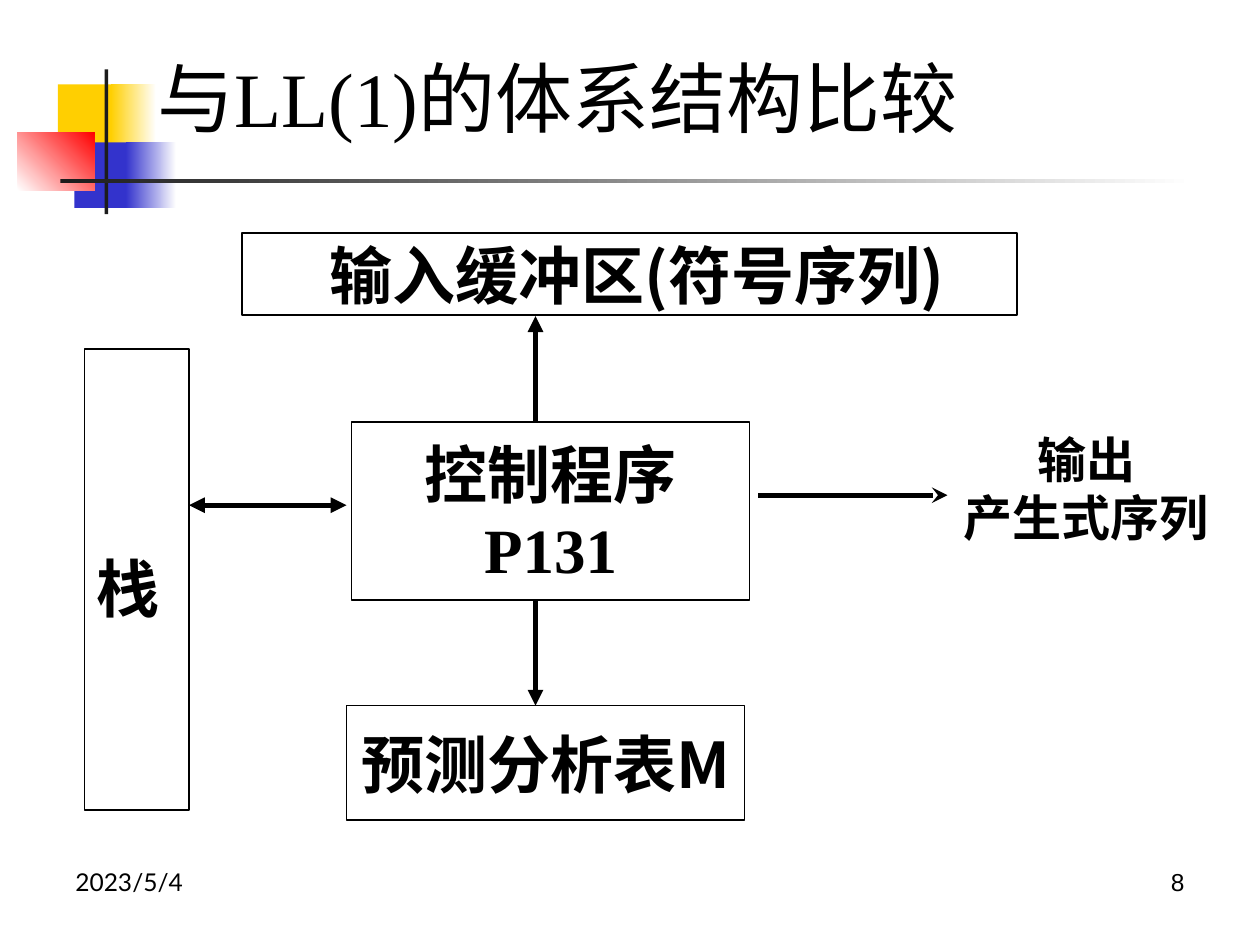
from lxml import etree
from pptx import Presentation
from pptx.dml.color import RGBColor
from pptx.enum import shapes, text
from pptx.oxml.ns import qn
from pptx.util import Inches, Pt

COLORS = {"yellow": "FFCF01", "blue": "3333CC", "red": "FF0000",
          "dark": "1C1C1C", "white": "FFFFFF", "black": "000000"}
RGB = {name: RGBColor.from_string(value) for name, value in COLORS.items()}
CJK = "Noto Sans CJK SC"
TIMES = "Times New Roman"
LEFT, CENTER, RIGHT = text.PP_ALIGN.LEFT, text.PP_ALIGN.CENTER, text.PP_ALIGN.RIGHT


def write(shape, lines, size, align, bold=False, wrap=True):
    """Fill a shape with (wording, font) lines."""
    frame = shape.text_frame
    frame.text = "\n".join(wording for wording, font in lines)
    frame.word_wrap = wrap
    for paragraph, (wording, font) in zip(frame.paragraphs, lines):
        paragraph.alignment = align
        for run in paragraph.runs:
            run.font.name, run.font.size, run.font.bold = font, Pt(size), bold
            run.font.color.rgb = RGB["black"]
            east_asian = etree.SubElement(run.font._element, qn("a:ea"))
            east_asian.set("typeface", CJK)
    return frame


prs = Presentation()
prs.slide_width, prs.slide_height = Inches(10), Inches(7.5)
slide = prs.slides.add_slide(prs.slide_layouts[5])

# Corner ornament: box, start colour, end colour (None is solid), angle
ornament = [
    ((0.46, 0.67, 0.48, 0.52), "yellow", None, 0),
    ((0.88, 0.67, 0.36, 0.52), "yellow", "white", 0),
    ((0.59, 1.13, 0.46, 0.52), "blue", None, 0),
    ((1, 1.13, 0.4, 0.52), "blue", "white", 0),
    ((0.14, 1.05, 0.61, 0.46), "white", "red", 45),
    ((0.83, 0.55, 0.03, 1.15), "dark", None, 0),
    ((0.48, 1.42, 9, 0.03), "dark", "white", 0),
]
for box, start, end, angle in ornament:
    block = slide.shapes.add_shape(shapes.MSO_SHAPE.RECTANGLE, *map(Inches, box))
    block.shadow.inherit = False
    block.line.fill.background()
    if end:
        block.fill.gradient()
        block.fill.gradient_angle = angle
        for stop, color in zip(block.fill.gradient_stops, (start, end)):
            stop.color.rgb = RGB[color]
    else:
        block.fill.solid()
        block.fill.fore_color.rgb = RGB[start]

# Title
title = slide.shapes.title
title.left, title.top, title.width, title.height = map(Inches, (1.15, 0.36, 7, 0.82))
write(title, [("与LL(1)的体系结构比较", TIMES)], 44, LEFT)
title.text_frame.vertical_anchor = text.MSO_ANCHOR.MIDDLE

# Date and slide number
for left, wording, font, align in [(0.5, "2023/5/4", "Lato", LEFT),
                                   (7.17, "8", "Arial", RIGHT)]:
    footer = slide.shapes.add_textbox(Inches(left), Inches(6.83), Inches(2.33), Inches(0.52))
    write(footer, [(wording, font)], 14, align)

# Components of the parser
components = [
    ((1.92, 1.85, 6.15, 0.65), [(" 输入缓冲区(符号序列)", CJK)], CENTER, 1),
    ((0.67, 2.77, 0.83, 3.66), [("栈", CJK)], LEFT, 1.2),
    ((2.79, 3.35, 3.16, 1.41), [("控制程序", CJK), ("P131", TIMES)], CENTER, 1),
    ((2.75, 5.6, 3.16, 0.91), [("预测分析表M", CJK)], CENTER, 1),
]
for box, lines, align, spacing in components:
    component = slide.shapes.add_shape(shapes.MSO_SHAPE.RECTANGLE, *map(Inches, box))
    component.shadow.inherit = False
    component.fill.background()
    component.line.color.rgb = RGB["black"]
    component.line.width = Pt(1)
    frame = write(component, lines, 36, align, bold=True, wrap=False)
    frame.vertical_anchor = text.MSO_ANCHOR.MIDDLE
    frame.paragraphs[0].line_spacing = spacing

# Arrows: start, end, arrowheads
arrows = [
    ((4.25, 3.35), (4.25, 2.51), {"tailEnd": "triangle"}),
    ((2.75, 4.01), (1.5, 4.01), {"headEnd": "triangle", "tailEnd": "triangle"}),
    ((4.25, 5.6), (4.25, 4.76), {"headEnd": "triangle"}),
    ((6.02, 3.93), (7.52, 3.93), {"tailEnd": "stealth"}),
]
for start, end, heads in arrows:
    arrow = slide.shapes.add_connector(shapes.MSO_CONNECTOR.STRAIGHT,
                                       *map(Inches, start + end))
    arrow.line.color.rgb = RGB["black"]
    arrow.line.width = Pt(3)
    for side, style in heads.items():
        etree.SubElement(arrow.line._get_or_add_ln(), qn("a:" + side)).set("type", style)
    etree.SubElement(arrow._element.spPr, qn("a:effectLst"))

# Output label
output = slide.shapes.add_textbox(*map(Inches, (7.44, 3.36, 2.36, 1.03)))
frame = write(output, [("输出", CJK), ("产生式序列", CJK)], 28, CENTER, bold=True)
for paragraph in frame.paragraphs:
    paragraph.line_spacing = Pt(33.5)

prs.save("out.pptx")
